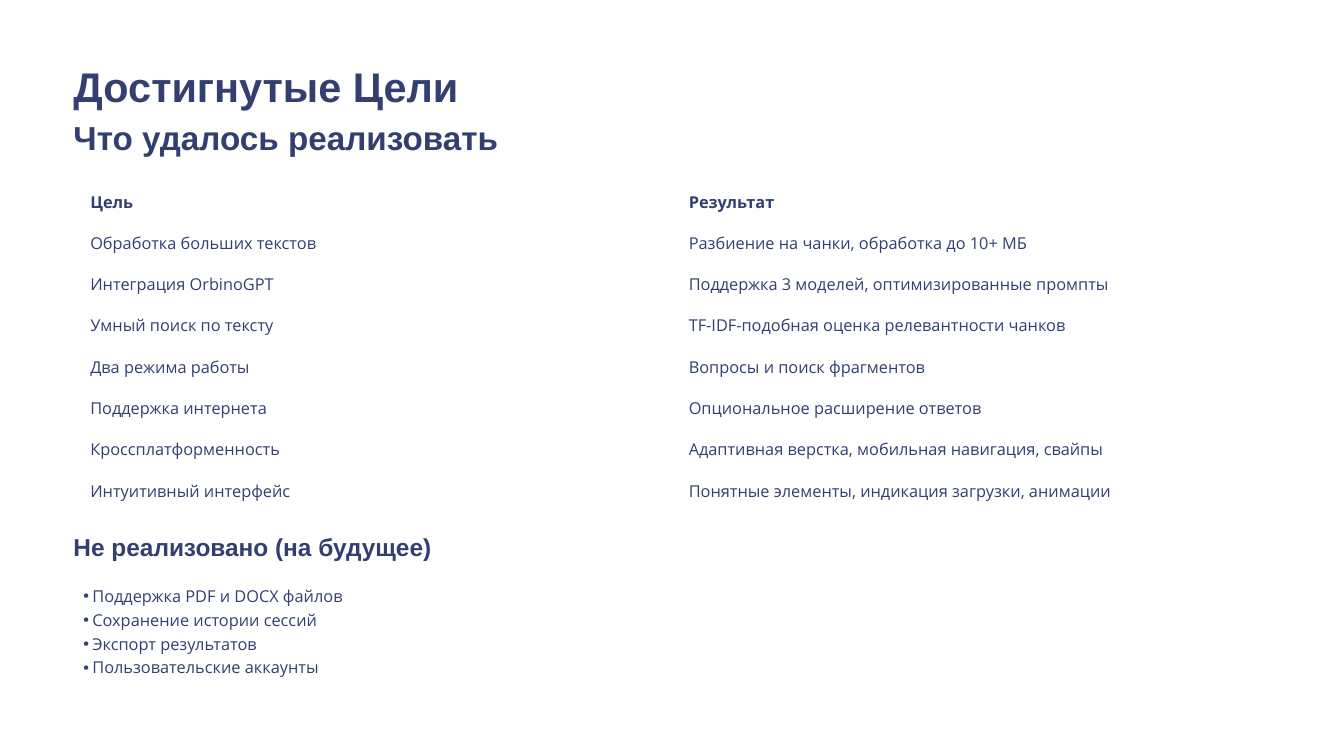
from lxml import etree
from pptx import Presentation, util as u
from pptx.dml.color import RGBColor
from pptx.enum import shapes
from pptx.oxml.ns import qn

PX = 9525  # 96 px to the inch
NAVY = "333F70"
LEFT, WIDTH = 105, 1711


def style(paragraph, size, spacing, font="Open Sans", bold=False):
    paragraph.line_spacing = u.Pt(spacing)
    for run in paragraph.runs:
        run.font.size = u.Pt(size)
        run.font.name = font
        run.font.bold = bold
        run.font.color.rgb = RGBColor.from_string(NAVY)


def add_frame(top, width, height):
    box = slide.shapes.add_textbox(LEFT * PX, top * PX, width * PX, height * PX)
    frame = box.text_frame
    frame.word_wrap = True
    frame.margin_left = frame.margin_right = 0
    frame.margin_top = frame.margin_bottom = 0
    return frame


prs = Presentation()
prs.slide_width, prs.slide_height = 1920 * PX, 1080 * PX
slide = prs.slides.add_slide(prs.slide_layouts[6])

# White page
page = slide.shapes.add_shape(
    shapes.MSO_SHAPE.RECTANGLE, 0, 0, prs.slide_width, prs.slide_height)
page.shadow.inherit = False
page.fill.solid()
page.fill.fore_color.rgb = RGBColor.from_string("FFFFFF")
page.line.fill.background()

# Headings
headings = [
    ("Достигнутые Цели", 84, 730, 79, 44.4, 55.6),
    ("Что удалось реализовать", 166, 798, 63, 35.6, 44.4),
    ("Не реализовано (на будущее)", 758, 688, 49, 26.2, 33.1),
]
for wording, top, width, height, size, spacing in headings:
    heading = add_frame(top, width, height)
    heading.text = wording
    style(heading.paragraphs[0], size, spacing, "Arial", True)

# Goals and results
goals = [
    ("Цель", "Результат"),
    ("Обработка больших текстов", "Разбиение на чанки, обработка до 10+ МБ"),
    ("Интеграция OrbinoGPT", "Поддержка 3 моделей, оптимизированные промпты"),
    ("Умный поиск по тексту", "TF-IDF-подобная оценка релевантности чанков"),
    ("Два режима работы", "Вопросы и поиск фрагментов"),
    ("Поддержка интернета", "Опциональное расширение ответов"),
    ("Кроссплатформенность", "Адаптивная верстка, мобильная навигация, свайпы"),
    ("Интуитивный интерфейс", "Понятные элементы, индикация загрузки, анимации"),
]
ROW = 59
goal_table = slide.shapes.add_table(
    len(goals), 2, LEFT * PX, 260 * PX, WIDTH * PX, len(goals) * ROW * PX).table
goal_table.horz_banding = False
goal_table.columns[0].width = 855 * PX
goal_table.columns[1].width = (WIDTH - 855) * PX
for row, pair in enumerate(goals):
    goal_table.rows[row].height = ROW * PX
    for column, wording in enumerate(pair):
        cell = goal_table.cell(row, column)
        cell.fill.background()
        cell.margin_left = cell.margin_right = 24 * PX
        cell.margin_top = cell.margin_bottom = 10 * PX
        cell.text_frame.text = wording
        style(cell.text_frame.paragraphs[0], 17.5, 25.6, bold=row == 0)

# Plans for the future
plans = [
    "Поддержка PDF и DOCX файлов",
    "Сохранение истории сессий",
    "Экспорт результатов",
    "Пользовательские аккаунты",
]
plan_frame = add_frame(831, WIDTH, 161)
plan_frame.text = "\n".join(plans)
for plan in plan_frame.paragraphs:
    plan.level = 1
    properties = plan._p.get_or_add_pPr()
    properties.set("marL", str(27 * PX))
    properties.set("indent", str(-13 * PX))
    etree.SubElement(properties, qn("a:buFont")).set("typeface", "Arial")
    etree.SubElement(properties, qn("a:buChar")).set("char", "•")
    style(plan, 17.5, 25.6)

prs.save("out.pptx")
